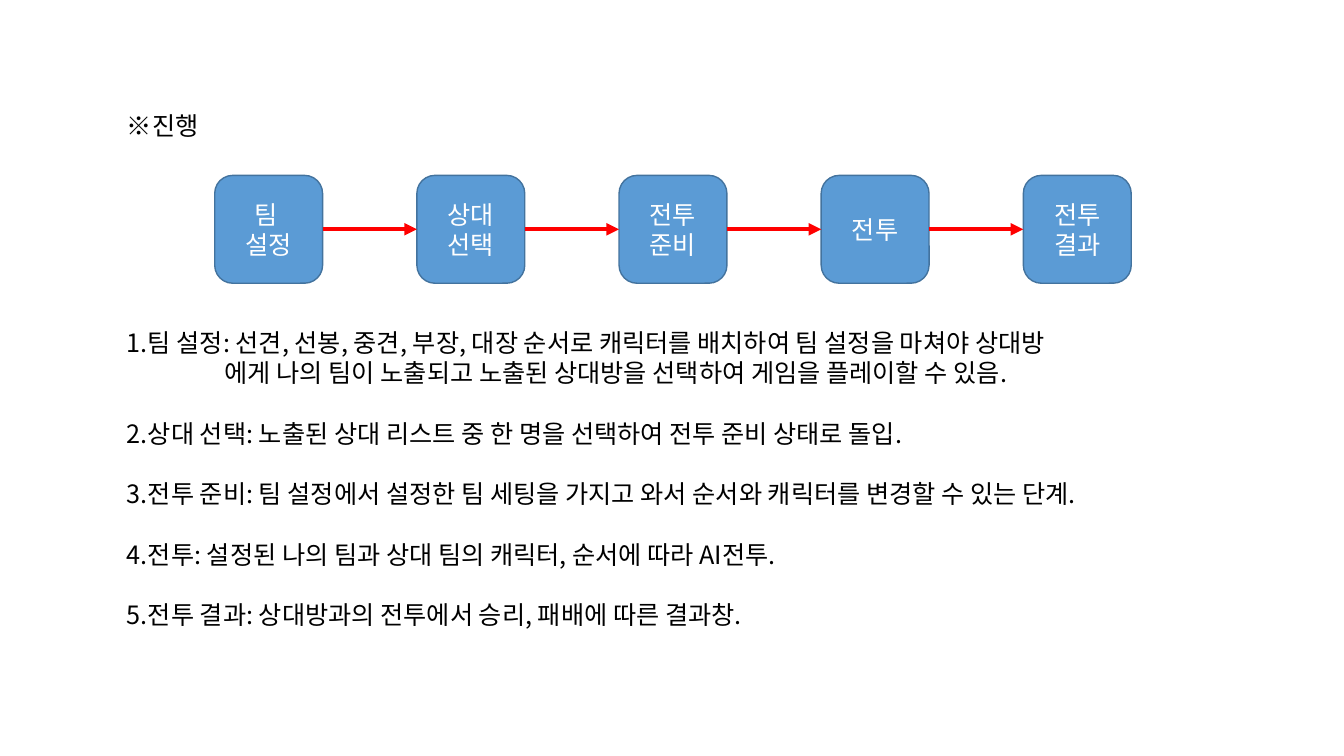
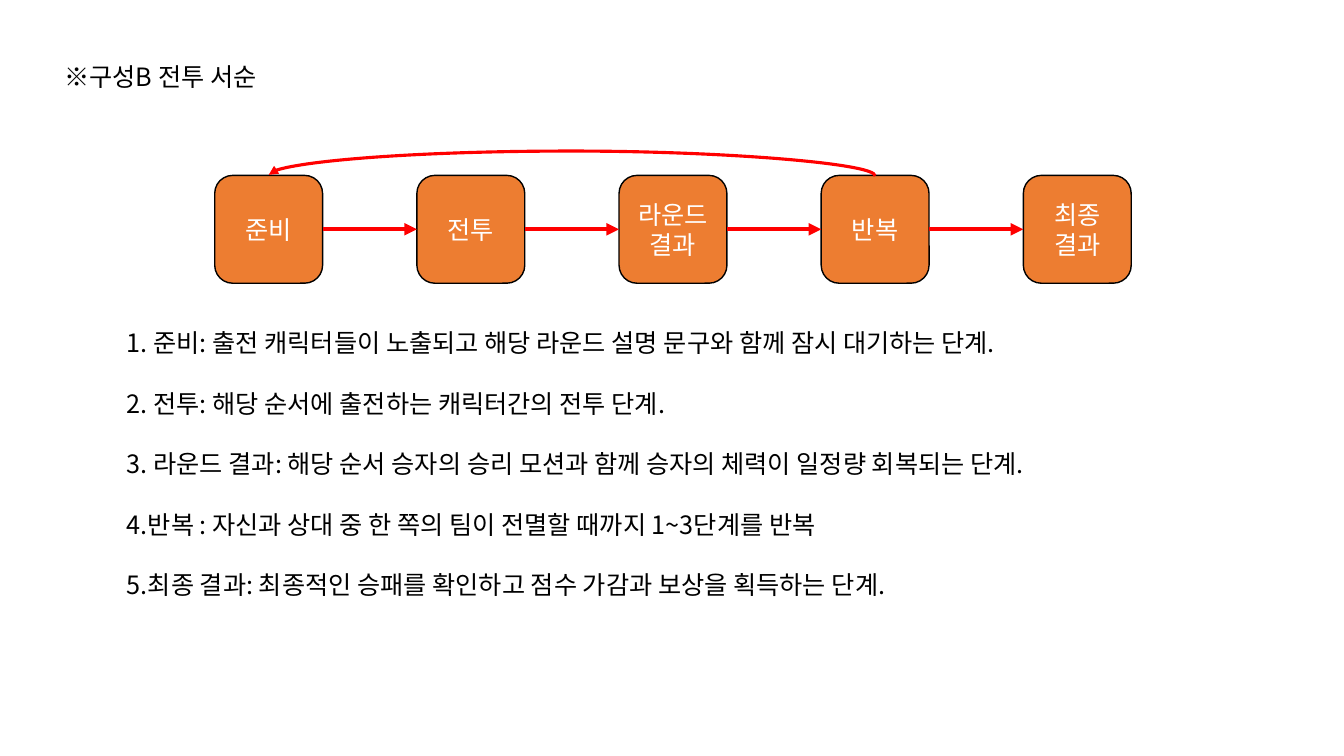
from lxml import etree
from pptx import Presentation
from pptx.dml.color import RGBColor
from pptx.enum.shapes import MSO_CONNECTOR, MSO_SHAPE
from pptx.enum.text import MSO_ANCHOR, MSO_AUTO_SIZE, PP_ALIGN
from pptx.oxml.ns import qn
from pptx.util import Inches, Pt

STRAIGHT, CURVE = MSO_CONNECTOR.STRAIGHT, MSO_CONNECTOR.CURVE
ROUNDED = MSO_SHAPE.ROUNDED_RECTANGLE
MIDDLE, CENTER = MSO_ANCHOR.MIDDLE, PP_ALIGN.CENTER
GROW = MSO_AUTO_SIZE.SHAPE_TO_FIT_TEXT
TOP_SITE, LEFT_SITE, RIGHT_SITE = 0, 1, 3

COLORS = {
    "text": "000000", "step_text": "FFFFFF", "arrow": "FF0000",
    "blue": "5B9BD5", "blue_edge": "43739E",
    "orange": "ED7D31", "orange_edge": "000000",
}
FONT, SIZE = "Noto Sans CJK KR", 18

# Grid of the flow, in inches
FLOW_LEFT, FLOW_TOP = 2.13, 1.74
STEP_SIZE, COLUMN = 1.07, 2.005
NOTES_LEFT, NOTES_TOP, NOTES_WIDTH = 1.16, 3.2, 10.81
ITEM_GAP = 21.6


def color(name):
    return RGBColor.from_string(COLORS[name])


class Deck:
    """Holds the shared style and the slide being filled."""

    def __init__(self):
        self.prs = Presentation()
        self.prs.slide_width, self.prs.slide_height = Inches(13.33), Inches(7.5)
        self.slide = None

    def new_slide(self):
        self.slide = self.prs.slides.add_slide(self.prs.slide_layouts[6])

    def style_text(self, frame, color_name):
        for paragraph in frame.paragraphs:
            for run in paragraph.runs:
                run.font.size, run.font.name = Pt(SIZE), FONT
                run.font.color.rgb = color(color_name)
                east_asian = etree.SubElement(run.font._element, qn("a:ea"))
                east_asian.set("typeface", FONT)

    def text(self, words, left, top, width, height, wrap=False):
        box = self.slide.shapes.add_textbox(
            Inches(left), Inches(top), Inches(width), Inches(height))
        frame = box.text_frame
        frame.word_wrap, frame.auto_size = wrap, GROW
        frame.text = words
        self.style_text(frame, "text")
        return frame

    def title(self, words, left, top, width):
        self.text(words, left, top, width, 0.4)

    def notes(self, items, height, hanging=0):
        frame = self.text("\n".join(items), NOTES_LEFT, NOTES_TOP,
                          NOTES_WIDTH, height, wrap=True)
        for paragraph in frame.paragraphs[:-1]:
            paragraph.space_after = Pt(ITEM_GAP)
        if hanging:
            indent = frame.paragraphs[0]._p.get_or_add_pPr()
            indent.set("marL", str(Inches(hanging)))
            indent.set("indent", str(-Inches(hanging)))

    def step(self, label, column, fill):
        step = self.slide.shapes.add_shape(
            ROUNDED, Inches(FLOW_LEFT + column * COLUMN), Inches(FLOW_TOP),
            Inches(STEP_SIZE), Inches(STEP_SIZE))
        step.shadow.inherit = False
        step.fill.solid()
        step.fill.fore_color.rgb = color(fill)
        step.line.color.rgb = color(fill + "_edge")
        step.line.width = Pt(1)
        frame = step.text_frame
        frame.word_wrap, frame.vertical_anchor = True, MIDDLE
        frame.text = label
        for paragraph in frame.paragraphs:
            paragraph.alignment = CENTER
        self.style_text(frame, "step_text")
        return step

    def arrow(self, kind, begin, end, weight):
        arrow = self.slide.shapes.add_connector(
            kind, *(Inches(value) for value in begin + end))
        arrow.line.color.rgb = color("arrow")
        arrow.line.width = Pt(weight)
        etree.SubElement(arrow.line._get_or_add_ln(), qn("a:tailEnd"), type="triangle")
        etree.SubElement(arrow._element.spPr, qn("a:effectLst"))
        return arrow

    def flow(self, labels, fill):
        steps = [self.step(label, i, fill) for i, label in enumerate(labels)]
        for before, after in zip(steps, steps[1:]):
            link = self.arrow(STRAIGHT, (0, 0), (1, 0), 3)
            link.begin_connect(before, RIGHT_SITE)
            link.end_connect(after, LEFT_SITE)

    def loop_back(self, start, target, rise):
        """Curve over the flow, from the top of one step to an earlier one."""
        span = (start - target) * COLUMN
        middle = FLOW_LEFT + STEP_SIZE / 2 + (start + target) / 2 * COLUMN
        depth = 0.01
        loop = self.arrow(CURVE, (middle - depth / 2, FLOW_TOP + span / 2),
                          (middle + depth / 2, FLOW_TOP - span / 2), 2.25)
        properties = loop._element.spPr
        properties.find(qn("a:xfrm")).set("rot", str(270 * 60000))
        guides = properties.find(qn("a:prstGeom")).find(qn("a:avLst"))
        etree.SubElement(guides, qn("a:gd"), name="adj1",
                         fmla=f"val {round(rise / depth * 100000)}")


deck = Deck()

# Progress of the game
deck.new_slide()
deck.title("※진행", 1.16, 1.05, 0.96)
deck.flow(["팀 \n설정", "상대 선택", "전투 준비", "전투", "전투\n결과"], "blue")
deck.notes([
    "1.팀 설정: 선견, 선봉, 중견, 부장, 대장 순서로 캐릭터를 배치하여 팀 설정을 마쳐야 상대방\v"
    "에게 나의 팀이 노출되고 노출된 상대방을 선택하여 게임을 플레이할 수 있음.",
    "2.상대 선택: 노출된 상대 리스트 중 한 명을 선택하여 전투 준비 상태로 돌입.",
    "3.전투 준비: 팀 설정에서 설정한 팀 세팅을 가지고 와서 순서와 캐릭터를 변경할 수 있는 단계.",
    "4.전투: 설정된 나의 팀과 상대 팀의 캐릭터, 순서에 따라 AI전투.",
    "5.전투 결과: 상대방과의 전투에서 승리, 패배에 따른 결과창.",
], 3.13, hanging=0.97)

# Order of battle
deck.new_slide()
deck.title("※구성B 전투 서순", 0.54, 0.56, 2.28)
deck.flow(["준비", "전투", "라운드 결과", "반복", "최종 결과"], "orange")
deck.notes([
    "1. 준비: 출전 캐릭터들이 노출되고 해당 라운드 설명 문구와 함께 잠시 대기하는 단계.",
    "2. 전투: 해당 순서에 출전하는 캐릭터간의 전투 단계.",
    "3. 라운드 결과: 해당 순서 승자의 승리 모션과 함께 승자의 체력이 일정량 회복되는 단계.",
    "4.반복 : 자신과 상대 중 한 쪽의 팀이 전멸할 때까지 1~3단계를 반복",
    "5.최종 결과: 최종적인 승패를 확인하고 점수 가감과 보상을 획득하는 단계.",
], 2.83)
deck.loop_back(start=3, target=0, rise=0.25)

deck.prs.save("out.pptx")
